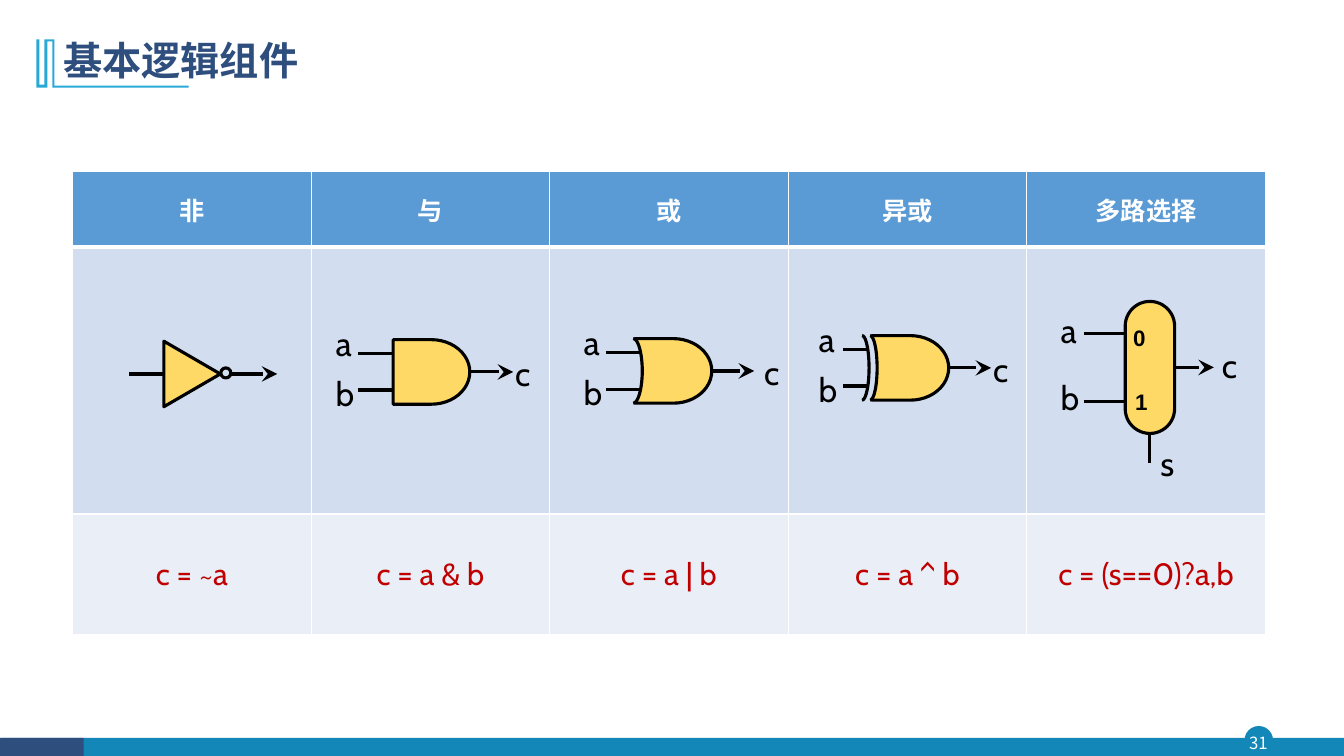
from math import cos, pi, sin

from lxml.etree import SubElement
from pptx import Presentation
from pptx.dml.color import RGBColor
from pptx.enum.shapes import MSO_CONNECTOR, MSO_SHAPE as SHAPE
from pptx.enum.text import MSO_ANCHOR as ANCHOR, MSO_AUTO_SIZE as FIT, PP_ALIGN as ALIGN
from pptx.oxml.ns import qn
from pptx.util import Inches, Pt

TITLE = "基本逻辑组件"
PAGE = "31"
GATES = ["非", "与", "或", "异或", "多路选择"]
FORMULAS = ["c = ~a", "c = a & b", "c = a | b", "c = a ^ b", "c = (s==0)?a,b"]
ROW_HEIGHTS = [0.75, 2.65, 1.2]
COLUMN_WIDTH = 11.83 / 5

HAN, LETTER = "Noto Sans CJK SC", "Cabin"
BLACK, WHITE, YELLOW, RED = "000000", "FFFFFF", "FFD966", "C00000"
NAVY, TEAL, CYAN = "2E4E7E", "1387B7", "28A9D6"
HEADER, SYMBOLS, FORMULA = "5B9BD5", "D2DEEF", "EAEFF7"

ORNAMENT = [(0.54, 0.39), (0.54, 0.85), (1.87, 0.85), (1.87, 0.87), (0.52, 0.87),
            (0.52, 0.41), (0.47, 0.41), (0.47, 0.87), (0.36, 0.87), (0.36, 0.39),
            (0.39, 0.39), (0.39, 0.84), (0.44, 0.84), (0.44, 0.39)]

TWO_INPUT_GATES = [
    dict(left=3.9, top=3.37, letters=3.23, wires=(3.55, 3.9), tip=5.09, result=5.11, arcs=[]),
    dict(left=6.3, top=3.36, letters=5.69, wires=(6.01, 6.36), tip=7.48, result=7.58,
         arcs=[(6.28, 0.09)]),
    dict(left=8.65, top=3.33, letters=8.02, wires=(8.36, 8.61), tip=9.83, result=9.85,
         arcs=[(8.63, 0.07), (8.55, 0.07)]),
]
GATE_WIDTH, GATE_HEIGHT = 0.76, 0.64
LETTER_WIDTHS = {"a": 0.38, "b": 0.41, "s": 0.35}
SELECTOR = (11.16, 2.99, 0.49, 1.31)

prs = Presentation()
prs.slide_width, prs.slide_height = Inches(13.33), Inches(7.5)
slide = prs.slides.add_slide(prs.slide_layouts[6])
shapes = slide.shapes


def color(value):
    return RGBColor.from_string(value)


def paint(shape, fill, line=None, width=2.25):
    shape.shadow.inherit = False
    if fill:
        shape.fill.solid()
        shape.fill.fore_color.rgb = color(fill)
    else:
        shape.fill.background()
    if line:
        shape.line.color.rgb = color(line)
        shape.line.width = Pt(width)
    else:
        shape.line.fill.background()
    return shape


def block(kind, left, top, width, height, fill, line=None, weight=2.25):
    shape = shapes.add_shape(kind, Inches(left), Inches(top), Inches(width), Inches(height))
    return paint(shape, fill, line, weight)


def outline(points, fill, line=None, close=True):
    corners = [(Inches(x), Inches(y)) for x, y in points]
    builder = shapes.build_freeform(*corners[0])
    builder.add_line_segments(corners[1:], close=close)
    return paint(builder.convert_to_shape(), fill, line)


def arc(left, top, depth, height):
    angles = [pi * step / 24 for step in range(25)]
    points = [(left + depth * sin(t), top + height * (1 - cos(t)) / 2) for t in angles]
    outline(points, SYMBOLS, BLACK, close=False)


def wire(x1, y1, x2, y2, arrow=False, source=None):
    line = shapes.add_connector(MSO_CONNECTOR.STRAIGHT, *map(Inches, (x1, y1, x2, y2)))
    line.line.color.rgb = color(BLACK)
    line.line.width = Pt(2.25)
    if arrow:
        SubElement(line.line._get_or_add_ln(), qn("a:tailEnd"), type="stealth", w="lg", len="lg")
    SubElement(line._element.spPr, qn("a:effectLst"))
    if source:
        line.begin_connect(*source)


def write(frame, text, size, font, ink, bold=False, align=ALIGN.LEFT, spacing=None):
    paragraph = frame.paragraphs[0]
    paragraph.alignment = align
    if spacing:
        paragraph.line_spacing = spacing
    run = paragraph.add_run()
    run.text = text
    run.font.size, run.font.name, run.font.bold = Pt(size), font, bold
    run.font.color.rgb = color(ink)
    if font == HAN:
        SubElement(run._r.get_or_add_rPr(), qn("a:ea"), typeface=font)


def label(box, text, size, font, ink, inset=True, wrap=True, anchor=ANCHOR.TOP, fit=FIT.NONE,
          **style):
    frame = shapes.add_textbox(*map(Inches, box)).text_frame
    frame.word_wrap, frame.vertical_anchor, frame.auto_size = wrap, anchor, fit
    if not inset:
        frame.margin_left = frame.margin_right = frame.margin_top = frame.margin_bottom = 0
    write(frame, text, size, font, ink, **style)


def input_letter(letter, left, top):
    label((left, top, LETTER_WIDTHS[letter], 0.5), letter, 24, LETTER, BLACK, wrap=False,
          fit=FIT.SHAPE_TO_FIT_TEXT)


def result_letter(left, top):
    label((left, top, 0.2, 0.44), "c", 24, LETTER, BLACK, inset=False, spacing=1.2,
          fit=FIT.SHAPE_TO_FIT_TEXT)


def fill_cell(cell, fill, bottom):
    cell.fill.solid()
    cell.fill.fore_color.rgb = color(fill)
    cell.vertical_anchor = ANCHOR.MIDDLE
    props = cell._tc.get_or_add_tcPr()
    for place, (side, points) in enumerate(
            [("lnL", 1), ("lnR", 1), ("lnT", 1), ("lnB", bottom)]):
        border = SubElement(props, qn(f"a:{side}"), w=str(Pt(points)))
        SubElement(SubElement(border, qn("a:solidFill")), qn("a:srgbClr"), val=WHITE)
        props.insert(place, border)


block(SHAPE.OVAL, 12.35, 7.21, 0.27, 0.27, TEAL, TEAL, 1)
block(SHAPE.RECTANGLE, 0.01, 7.32, 13.32, 0.19, TEAL)
block(SHAPE.RECTANGLE, 0, 7.32, 0.83, 0.19, NAVY)
label((12.32, 7.21, 0.32, 0.31), PAGE, 12, HAN, WHITE, inset=False, anchor=ANCHOR.MIDDLE,
      align=ALIGN.CENTER)
outline(ORNAMENT, CYAN)

table = shapes.add_table(3, 5, Inches(0.72), Inches(1.7), Inches(COLUMN_WIDTH * 5),
                         Inches(sum(ROW_HEIGHTS))).table
for column in table.columns:
    column.width = Inches(COLUMN_WIDTH)
for row, height in zip(table.rows, ROW_HEIGHTS):
    row.height = Inches(height)
for index, (gate, formula) in enumerate(zip(GATES, FORMULAS)):
    header, symbol, equation = (table.cell(row, index) for row in range(3))
    fill_cell(header, HEADER, 3)
    fill_cell(symbol, SYMBOLS, 1)
    fill_cell(equation, FORMULA, 1)
    write(header.text_frame, gate, 18, HAN, WHITE, bold=True, align=ALIGN.CENTER)
    write(equation.text_frame, formula, 22, LETTER, RED, align=ALIGN.CENTER)

label((0.53, 0.28, 3.1, 0.68), TITLE, 28, HAN, NAVY, bold=True, anchor=ANCHOR.MIDDLE,
      spacing=0.9)

wire(1.28, 3.71, 1.63, 3.71)
wire(2.29, 3.71, 2.75, 3.71, arrow=True)
block(SHAPE.OVAL, 2.19, 3.65, 0.1, 0.1, None, BLACK)
inverter = block(SHAPE.ISOSCELES_TRIANGLE, 1.58, 3.43, 0.65, 0.56, YELLOW, BLACK)
inverter.rotation = 90

for gate in TWO_INPUT_GATES:
    left, top = gate["left"], gate["top"]
    middle = top + GATE_HEIGHT / 2
    body = block(SHAPE.FLOWCHART_DELAY, left, top, GATE_WIDTH, GATE_HEIGHT, YELLOW, BLACK)
    wire(left + GATE_WIDTH, middle, gate["tip"], middle, arrow=True, source=(body, 3))
    for arc_left, depth in gate["arcs"]:
        arc(arc_left, top, depth, GATE_HEIGHT)
    start, end = gate["wires"]
    for letter, wire_drop, letter_drop in [("a", 0.14, -0.22), ("b", 0.5, 0.28)]:
        wire(start, top + wire_drop, end, top + wire_drop)
        input_letter(letter, gate["letters"], top + letter_drop)
    result_letter(gate["result"], top + 0.05)

left, top, width, height = SELECTOR
center, middle = left + width / 2, top + height / 2
selector = block(SHAPE.ROUNDED_RECTANGLE, *SELECTOR, YELLOW, BLACK)
selector.adjustments[0] = 0.5
for letter, digit, wire_y, letter_y, digit_x, digit_y in [
        ("a", "0", 3.31, 3.03, 11.2, 3.16), ("b", "1", 3.98, 3.69, 11.22, 3.8)]:
    wire(10.75, wire_y, left, wire_y)
    input_letter(letter, 10.42, letter_y)
    label((digit_x, digit_y, 0.2, 0.29), digit, 16, "Arial", BLACK, inset=False, bold=True,
          align=ALIGN.CENTER, spacing=1.2, fit=FIT.SHAPE_TO_FIT_TEXT)
wire(left + width, middle, 12.04, middle, arrow=True, source=(selector, 3))
result_letter(12.12, 3.34)
wire(center, top + height, center, 4.59, source=(selector, 2))
input_letter("s", 11.41, 4.34)

prs.save("out.pptx")
